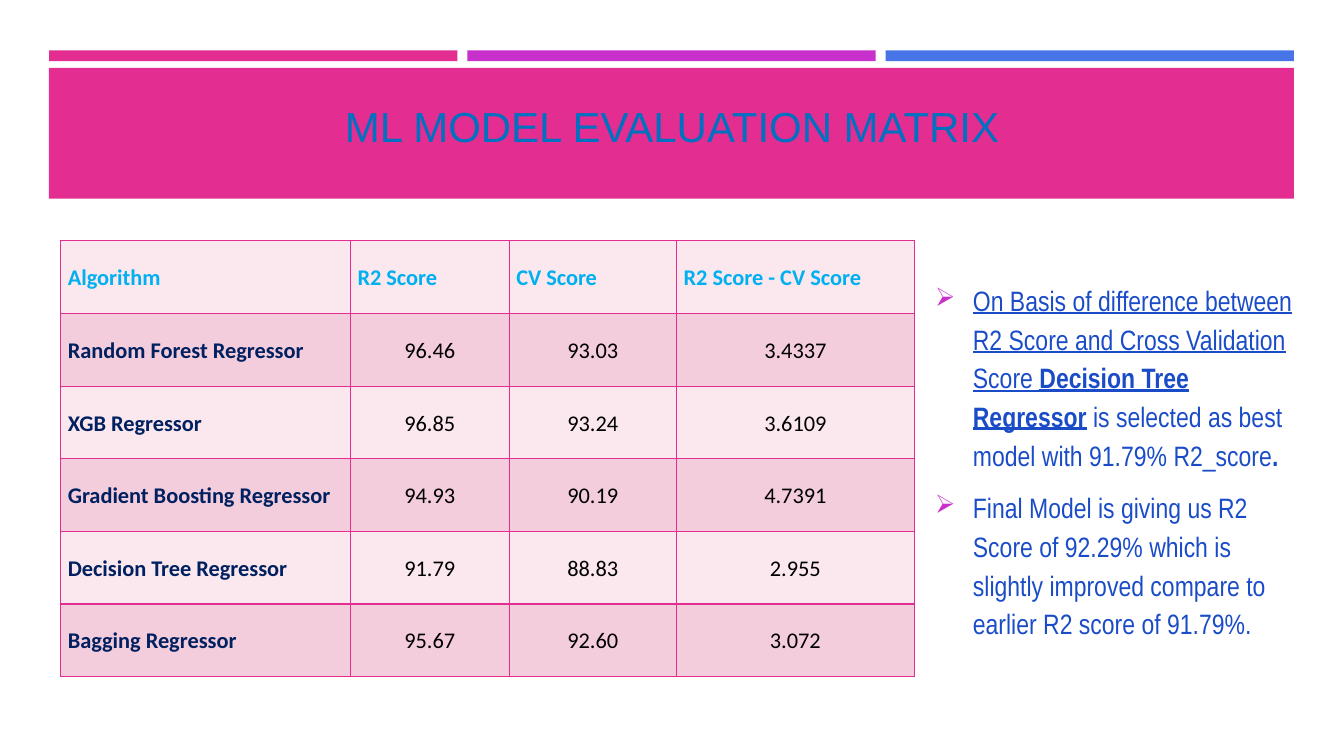
"""Builds the slide with the model evaluation table and its conclusions."""
from dataclasses import dataclass

from lxml.etree import SubElement
from pptx import Presentation
from pptx.dml.color import RGBColor
from pptx.enum.shapes import MSO_SHAPE
from pptx.enum.text import MSO_ANCHOR, MSO_AUTO_SIZE, PP_ALIGN
from pptx.oxml import parse_xml
from pptx.oxml.ns import nsdecls, qn
from pptx.util import Cm, Pt

PINK, PURPLE, BLUE = "E32D91", "C830CC", "4775E7"
TITLE_BLUE, HEADER_BLUE, NAVY, NOTE_BLUE, BLACK = "0070C0", "00B0F0", "002060", "1A4CC8", "000000"
BANDS = ("FAE8EE", "F4CDDC")


@dataclass
class Bar:
    left: float
    top: float
    width: float
    height: float
    color: str


@dataclass
class Span:
    text: str
    bold: bool = False
    underline: bool = False


@dataclass
class Note:
    spans: list[Span]
    space_after: float


BARS = [Bar(1.24 + 10.54 * i, 1.27, 10.29, 0.27, color)
        for i, color in enumerate((PINK, PURPLE, BLUE))]
BARS.append(Bar(1.23, 1.71, 31.38, 3.3, PINK))

COLUMN_WIDTHS = (7.3, 4.0, 4.22, 5.99)
ROW_HEIGHT = 1.83
ROWS = [
    ("Algorithm", "R2 Score", "CV Score", "R2 Score - CV Score"),
    ("Random Forest Regressor", "96.46", "93.03", "3.4337"),
    ("XGB Regressor", "96.85", "93.24", "3.6109"),
    ("Gradient Boosting Regressor", "94.93", "90.19", "4.7391"),
    ("Decision Tree Regressor", "91.79", "88.83", "2.955"),
    ("Bagging Regressor", "95.67", "92.60", "3.072"),
]

NOTES = [
    Note([
        Span("On Basis of difference between R2 Score and Cross Validation Score ", underline=True),
        Span("Decision Tree Regressor", bold=True, underline=True),
        Span(" is selected as best model with 91.79% R2_score"),
        Span(".", bold=True),
    ], 6),
    Note([
        Span("Final Model is giving us R2 Score of 92.29% which is slightly improved "
             "compare to earlier R2 score of 91.79%."),
    ], 8),
]


def rgb(color: str) -> RGBColor:
    return RGBColor.from_string(color)


def add_run(p, span: Span, size: float, font: str, color: str) -> None:
    r = p.add_run()
    r.text = span.text
    r.font.size, r.font.name = Pt(size), font
    r.font.bold, r.font.underline = span.bold, span.underline
    r.font.color.rgb = rgb(color)


def add_bar(s, bar: Bar) -> None:
    sp = s.shapes.add_shape(MSO_SHAPE.RECTANGLE, Cm(bar.left), Cm(bar.top),
                            Cm(bar.width), Cm(bar.height))
    sp.shadow.inherit = False
    sp.fill.solid()
    sp.fill.fore_color.rgb = rgb(bar.color)
    sp.line.fill.background()


def format_title(s) -> None:
    sp = s.shapes.title
    s.shapes._spTree.append(sp._element)
    sp.left, sp.top, sp.width, sp.height = Cm(1.63), Cm(1.96), Cm(30.63), Cm(1.98)
    tf = sp.text_frame
    tf.auto_size, tf.vertical_anchor = MSO_AUTO_SIZE.NONE, MSO_ANCHOR.BOTTOM
    p = tf.paragraphs[0]
    p.alignment = PP_ALIGN.CENTER
    add_run(p, Span("ML MODEL EVALUATION MATRIX"), 30, "Arial", TITLE_BLUE)


def add_borders(cell, color: str) -> None:
    tc_pr = cell._tc.get_or_add_tcPr()
    for i, side in enumerate(("lnL", "lnR", "lnT", "lnB")):
        tc_pr.insert(i, parse_xml(
            f'<a:{side} {nsdecls("a")} w="12700"><a:solidFill>'
            f'<a:srgbClr val="{color}"/></a:solidFill></a:{side}>'))


def format_cell(cell, text: str, row: int, col: int) -> None:
    if row == 0:
        color, alignment = HEADER_BLUE, PP_ALIGN.JUSTIFY
    elif col == 0:
        color, alignment = NAVY, PP_ALIGN.LEFT
    else:
        color, alignment = BLACK, PP_ALIGN.CENTER
    cell.fill.solid()
    cell.fill.fore_color.rgb = rgb(BANDS[row % 2])
    add_borders(cell, PINK)
    cell.vertical_anchor = MSO_ANCHOR.MIDDLE
    cell.margin_left = cell.margin_right = Cm(0.18)
    cell.margin_top = cell.margin_bottom = 0
    p = cell.text_frame.paragraphs[0]
    p.alignment, p.line_spacing, p.space_after = alignment, 1.07, Pt(8)
    add_run(p, Span(text, bold=row == 0 or col == 0), 16, "Calibri", color)


def add_scores(s) -> None:
    table = s.shapes.add_table(len(ROWS), len(COLUMN_WIDTHS), Cm(1.53), Cm(6.07),
                               Cm(sum(COLUMN_WIDTHS)), Cm(ROW_HEIGHT * len(ROWS))).table
    for column, width in zip(table.columns, COLUMN_WIDTHS):
        column.width = Cm(width)
    for i, texts in enumerate(ROWS):
        table.rows[i].height = Cm(ROW_HEIGHT)
        for j, text in enumerate(texts):
            format_cell(table.cell(i, j), text, i, j)


def add_bullet(p) -> None:
    p_pr = p._p.get_or_add_pPr()
    p_pr.set("marL", str(Cm(0.95)))
    p_pr.set("indent", str(Cm(-0.95)))
    SubElement(SubElement(p_pr, qn("a:buClr")), qn("a:srgbClr")).set("val", PURPLE)
    SubElement(p_pr, qn("a:buSzPct")).set("val", "92000")
    SubElement(p_pr, qn("a:buChar")).set("char", "➢")


def add_notes(s) -> None:
    tf = s.shapes.add_textbox(Cm(23.32), Cm(6.05), Cm(9.6), Cm(11.05)).text_frame
    tf.word_wrap, tf.vertical_anchor = True, MSO_ANCHOR.MIDDLE
    for i, note in enumerate(NOTES):
        p = tf.add_paragraph() if i else tf.paragraphs[0]
        p.line_spacing, p.space_before, p.space_after = 1.15, Pt(4), Pt(note.space_after)
        add_bullet(p)
        for span in note.spans:
            add_run(p, span, 20, "Arial Narrow", NOTE_BLUE)


def main() -> None:
    prs = Presentation()
    prs.slide_width, prs.slide_height = Cm(33.87), Cm(19.05)
    s = prs.slides.add_slide(prs.slide_layouts[5])
    for bar in BARS:
        add_bar(s, bar)
    format_title(s)
    add_notes(s)
    add_scores(s)
    prs.save("out.pptx")


if __name__ == "__main__":
    main()
